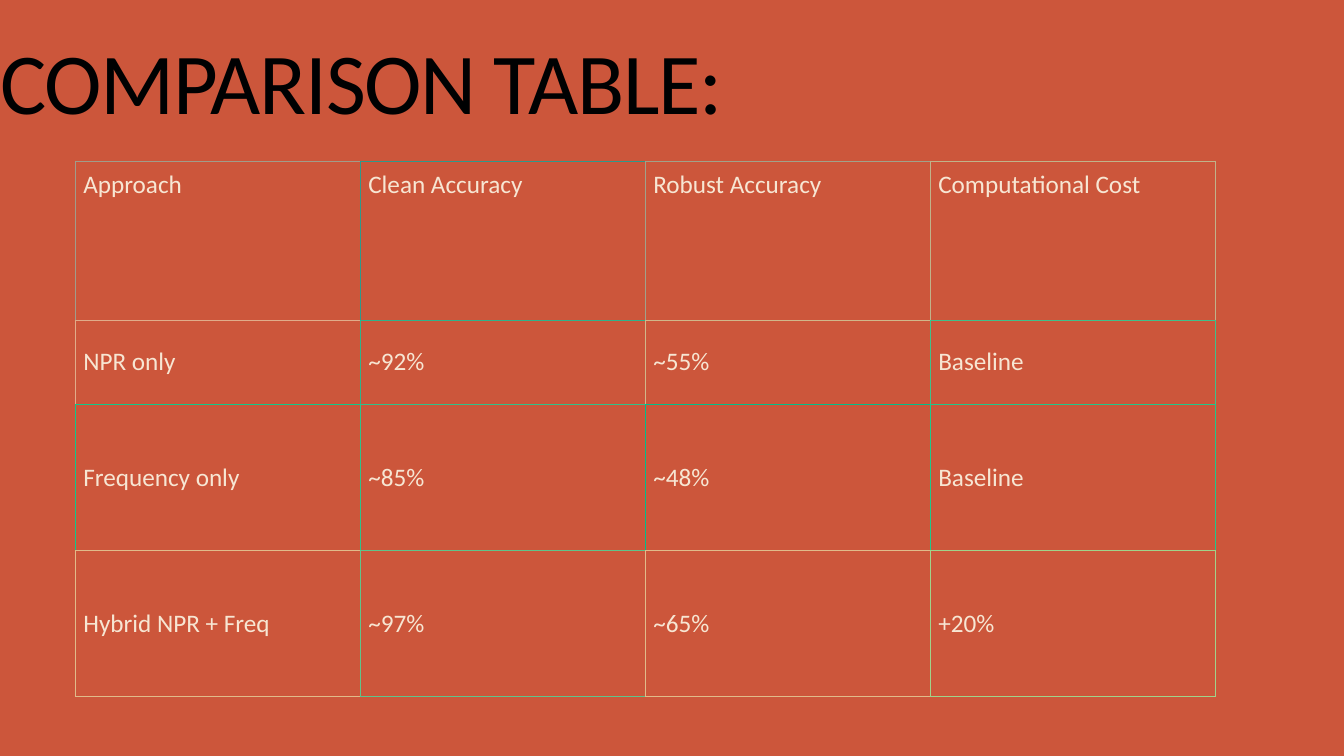
from dataclasses import dataclass

from lxml import etree
from pptx import Presentation
from pptx.dml.color import RGBColor
from pptx.enum.text import MSO_ANCHOR, MSO_AUTO_SIZE, PP_ALIGN
from pptx.oxml.ns import qn
from pptx.util import Cm, Pt

TOP, MIDDLE, BOTTOM = MSO_ANCHOR.TOP, MSO_ANCHOR.MIDDLE, MSO_ANCHOR.BOTTOM
NO_FIT = MSO_AUTO_SIZE.NONE
LEFT = PP_ALIGN.LEFT
TITLE_ONLY = 5


@dataclass(frozen=True)
class Theme:
    font: str = "Calibri"
    background: str = "CC563B"
    title_color: str = "000102"
    cell_color: str = "F7E6D3"
    title_size: float = 62
    cell_size: float = 18
    border_width: float = 0.75


THEME = Theme()

ROWS = [
    ["Approach", "Clean Accuracy", "Robust Accuracy", "Computational Cost"],
    ["NPR only", "~92%", "~55%", "Baseline"],
    ["Frequency only", "~85%", "~48%", "Baseline"],
    ["Hybrid NPR + Freq", "~97%", "~65%", "+20%"],
]
ROW_HEIGHTS = [4.01, 2.12, 3.68, 3.68]
# Each cell owns the colour of its left and top edges
EDGE_COLORS = [
    ["A09C8A", "30998A", "A0A18A", "C0B38A"],
    ["E0AC8A", "30B28A", "D0B78A", "40C08A"],
    ["10C88A", "30C18A", "00BF8A", "20C78A"],
    ["E0BB8A", "60C38A", "E0BB8A", "A0D38A"],
]


def style_span(span, size, color):
    span.font.name = THEME.font
    span.font.size = Pt(size)
    span.font.color.rgb = RGBColor.from_string(color)


def add_border(cell, side, color):
    line = etree.SubElement(cell._tc.get_or_add_tcPr(), qn(f"a:{side}"),
                            w=str(Pt(THEME.border_width)))
    fill = etree.SubElement(line, qn("a:solidFill"))
    etree.SubElement(fill, qn("a:srgbClr"), val=color)


def build_title(page, left, top, width, height):
    title = page.shapes.title
    title.left, title.top, title.width, title.height = left, top, width, height
    frame = title.text_frame
    frame.text = "COMPARISON TABLE:"
    frame.auto_size = NO_FIT
    frame.word_wrap = True
    frame.vertical_anchor = BOTTOM
    frame.margin_left = frame.margin_right = 0
    frame.margin_top = frame.margin_bottom = 0
    para = frame.paragraphs[0]
    para.alignment = LEFT
    para.line_spacing = 0.85
    span = para.runs[0]
    style_span(span, THEME.title_size, THEME.title_color)
    span.font._element.set("spc", "-90")


def format_cell(cell, row, column):
    cell.text = ROWS[row][column]
    is_header = row == 0
    cell.vertical_anchor = TOP if is_header else MIDDLE
    cell.margin_left = cell.margin_right = Cm(0.2)
    cell.margin_top = cell.margin_bottom = Cm(0.2 if is_header else 0.13)
    style_span(cell.text_frame.paragraphs[0].runs[0],
               THEME.cell_size, THEME.cell_color)

    # Right and bottom edges take the colour of the neighbouring cell
    own = EDGE_COLORS[row][column]
    right = EDGE_COLORS[row][min(column + 1, len(ROWS[0]) - 1)]
    below = EDGE_COLORS[min(row + 1, len(ROWS) - 1)][column]
    for side, color in (("lnL", own), ("lnR", right), ("lnT", own), ("lnB", below)):
        add_border(cell, side, color)
    cell.fill.background()


def build_table(page, left, top, width):
    height = Cm(sum(ROW_HEIGHTS))
    table = page.shapes.add_table(len(ROWS), len(ROWS[0]),
                                  left, top, width, height).table
    table.first_row = False
    table.horz_banding = False
    for row, row_height in enumerate(ROW_HEIGHTS):
        table.rows[row].height = Cm(row_height)
        for column in range(len(ROWS[0])):
            format_cell(table.cell(row, column), row, column)


def main():
    deck = Presentation()
    deck.slide_width, deck.slide_height = Cm(33.87), Cm(19.05)
    page = deck.slides.add_slide(deck.slide_layouts[TITLE_ONLY])
    background = page.background.fill
    background.solid()
    background.fore_color.rgb = RGBColor.from_string(THEME.background)

    # Heading, resting on the bottom of its box
    build_title(page, 0, Cm(-5.97), Cm(30.4), Cm(9.3))
    # Comparison of the approaches
    build_table(page, Cm(1.9), Cm(4.06), Cm(28.73))
    deck.save("out.pptx")


if __name__ == "__main__":
    main()
